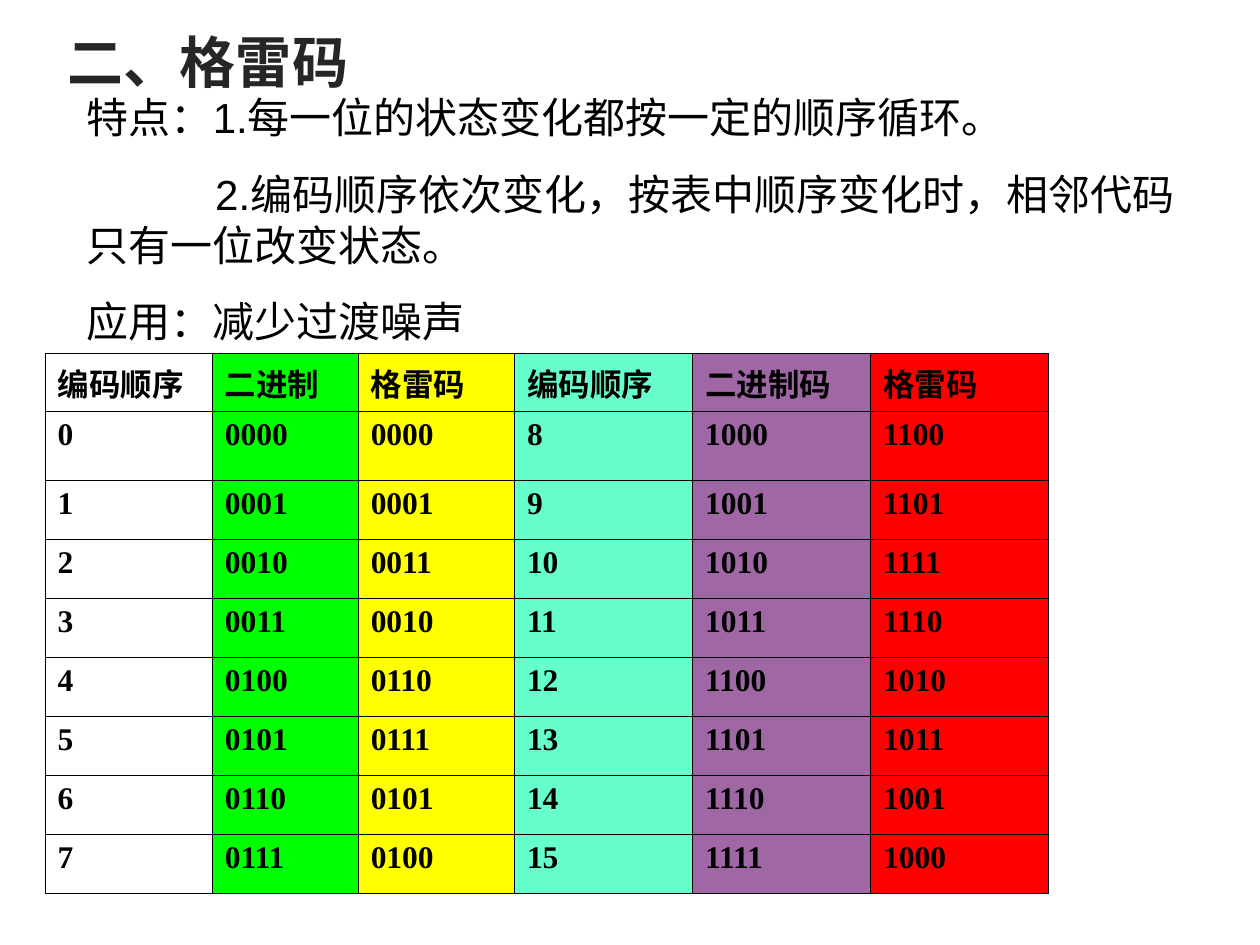
from lxml.etree import SubElement
from pptx import Presentation
from pptx.dml.color import RGBColor
from pptx.enum.text import MSO_ANCHOR, MSO_AUTO_SIZE, PP_ALIGN
from pptx.oxml.ns import qn
from pptx.util import Cm, Pt

BLACK = RGBColor(0x00, 0x00, 0x00)
CHARCOAL = RGBColor(0x26, 0x26, 0x26)
GREEN = RGBColor(0x00, 0xFF, 0x00)
YELLOW = RGBColor(0xFF, 0xFF, 0x00)
AQUA = RGBColor(0x66, 0xFF, 0xCC)
PURPLE = RGBColor(0x9F, 0x67, 0xA3)
RED = RGBColor(0xFF, 0x00, 0x00)

HEADERS = ["编码顺序", "二进制", "格雷码", "编码顺序", "二进制码", "格雷码"]
COLUMN_FILLS = [None, GREEN, YELLOW, AQUA, PURPLE, RED]
COLUMN_WIDTHS = [3.37, 2.94, 3.15, 3.59, 3.59, 3.59]
ROW_HEIGHTS = [1.17, 1.39] + [1.19] * 7


def write_text(paragraph, text, size=18, font="Arial", color=BLACK, bold=False,
               space_before=0, first_indent=0):
    paragraph.alignment = PP_ALIGN.LEFT
    paragraph.space_before = Pt(space_before)
    if first_indent:
        paragraph._p.get_or_add_pPr().set("indent", str(Cm(first_indent)))
    run = paragraph.add_run()
    run.text = text
    run.font.size = Pt(size)
    run.font.name = font
    run.font.bold = bold
    run.font.color.rgb = color


def add_title(slide, left, top, width, height):
    title = slide.shapes.title
    title.left, title.top = Cm(left), Cm(top)
    title.width, title.height = Cm(width), Cm(height)
    frame = title.text_frame
    frame.vertical_anchor = MSO_ANCHOR.MIDDLE
    frame.margin_left, frame.margin_right = Cm(0.28), Cm(0.2)
    frame.margin_top = frame.margin_bottom = Cm(0.1)
    write_text(frame.paragraphs[0], "二、格雷码", size=32, color=CHARCOAL, bold=True)


def add_features(slide, left, top, width, height):
    box = slide.shapes.add_textbox(Cm(left), Cm(top), Cm(width), Cm(height))
    frame = box.text_frame
    frame.word_wrap = True
    frame.auto_size = MSO_AUTO_SIZE.NONE
    write_text(frame.paragraphs[0], "特点：1.每一位的状态变化都按一定的顺序循环。", size=24)
    write_text(frame.add_paragraph(),
               "2.编码顺序依次变化，按表中顺序变化时，相邻代码只有一位改变状态。",
               size=24, space_before=15, first_indent=2.59)
    write_text(frame.add_paragraph(), "应用：减少过渡噪声", size=24, space_before=15)


def draw_borders(cell):
    properties = cell._tc.get_or_add_tcPr()
    for side in ("a:lnL", "a:lnR", "a:lnT", "a:lnB"):
        line = SubElement(properties, qn(side), w=str(Pt(0.45)))
        fill = SubElement(line, qn("a:solidFill"))
        SubElement(fill, qn("a:srgbClr"), val=str(BLACK))


def code_entry(number):
    gray = number ^ (number >> 1)
    return [str(number), f"{number:04b}", f"{gray:04b}"]


def add_code_table(slide, left, top):
    rows = [HEADERS] + [code_entry(n) + code_entry(n + 8) for n in range(8)]
    table = slide.shapes.add_table(
        len(rows), len(HEADERS), Cm(left), Cm(top),
        Cm(sum(COLUMN_WIDTHS)), Cm(sum(ROW_HEIGHTS))).table
    table.first_row = False
    table.horz_banding = False
    for column, width in zip(table.columns, COLUMN_WIDTHS):
        column.width = Cm(width)
    for row, height, texts in zip(table.rows, ROW_HEIGHTS, rows):
        row.height = Cm(height)
        for cell, text, color in zip(row.cells, texts, COLUMN_FILLS):
            draw_borders(cell)
            if color is None:
                cell.fill.background()
            else:
                cell.fill.solid()
                cell.fill.fore_color.rgb = color
            write_text(cell.text_frame.paragraphs[0], text,
                       font="Times New Roman", bold=True)


def main():
    presentation = Presentation()
    presentation.slide_width = Cm(25.4)
    presentation.slide_height = Cm(19.05)
    slide = presentation.slides.add_slide(presentation.slide_layouts.get_by_name("Title Only"))
    add_title(slide, 1.09, 0, 22.86, 2.46)
    add_features(slide, 1.5, 1.73, 23.01, 6.93)
    add_code_table(slide, 0.91, 7.12)
    presentation.save("out.pptx")


if __name__ == "__main__":
    main()
